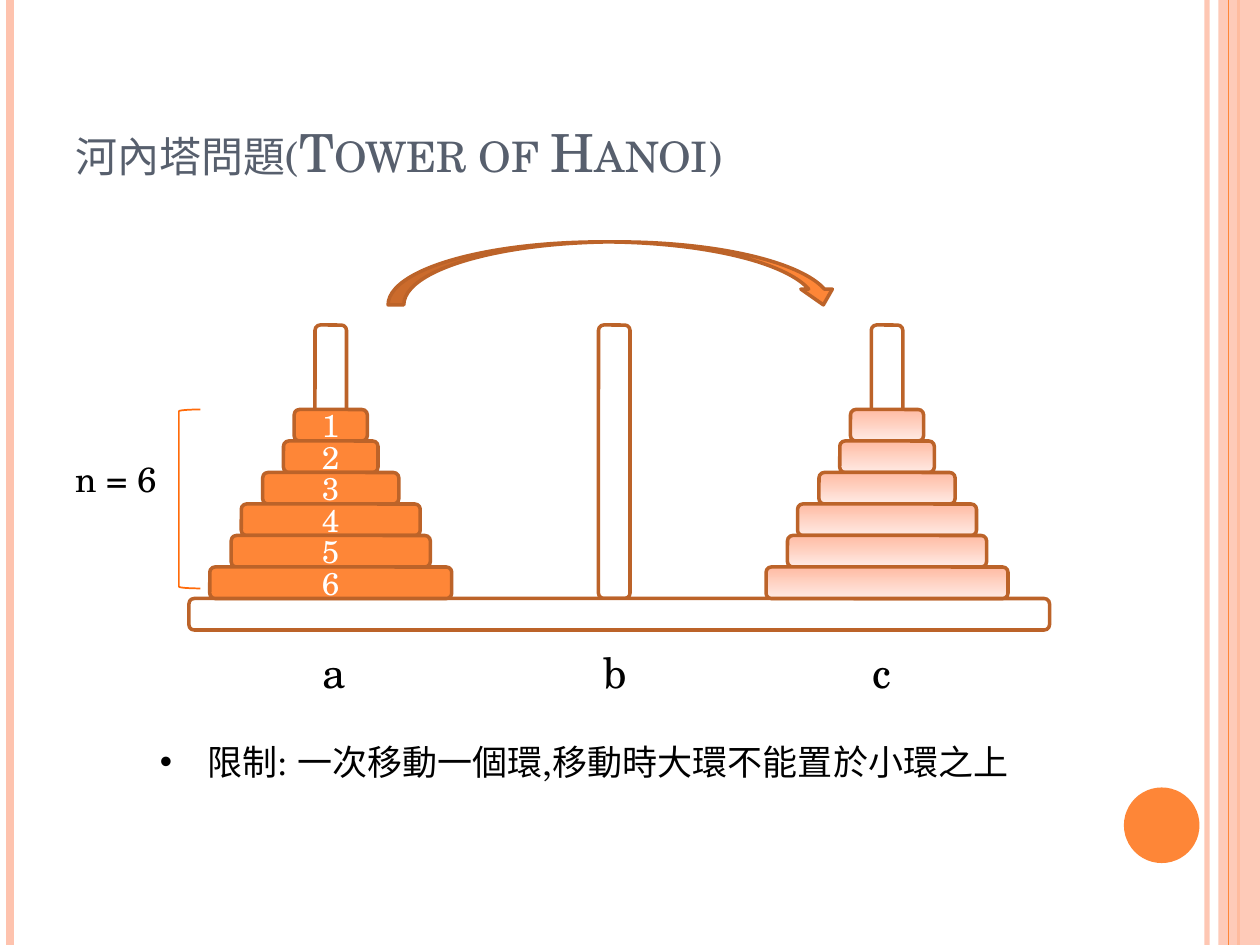
from lxml import etree
from pptx import Presentation
from pptx.dml.color import RGBColor
from pptx.enum import shapes, text
from pptx.oxml import ns
from pptx.util import Inches, Pt

ORANGE = RGBColor(0xFE, 0x86, 0x37)
BROWN = RGBColor(0xBC, 0x63, 0x29)
PINK = RGBColor(0xFE, 0xC3, 0xAE)
BRIGHT = RGBColor(0xFF, 0x6B, 0x0A)
SLATE = RGBColor(0x57, 0x5F, 0x6D)
WHITE = RGBColor(0xFF, 0xFF, 0xFF)
BLACK = RGBColor(0, 0, 0)
FADE = [RGBColor(0xFF, 0xBB, 0xA3), RGBColor(0xFF, 0xEA, 0xE4)]
FONT = "TeX Gyre Schola"
KIND = shapes.MSO_SHAPE

PEGS = {"a": 2.625, "b": 4.875, "c": 7.04}
RINGS = (0.58, 0.75, 1.08, 1.42, 1.58, 1.92)
UNIT = 0.25
TOP = 3.25


def set_alpha(node, share):
    color = node.find(".//" + ns.qn("a:srgbClr"))
    etree.SubElement(color, ns.qn("a:alpha")).set("val", str(share * 1000))


def add_rule(slide, x, color, width, alpha=None):
    rule = slide.shapes.add_connector(
        shapes.MSO_CONNECTOR.STRAIGHT, Inches(x), 0, Inches(x), Inches(7.5))
    rule.line.color.rgb = color
    rule.line.width = Pt(width)
    props = rule._element.spPr
    etree.SubElement(props, ns.qn("a:effectLst"))
    if alpha:
        set_alpha(props, alpha)


def add_form(slide, kind, box, fill=None, line=None, width=2):
    form = slide.shapes.add_shape(kind, *map(Inches, box))
    form.shadow.inherit = False
    if isinstance(fill, list):
        form.fill.gradient()
        form.fill.gradient_angle = 270
        for stop, color in zip(form.fill.gradient_stops, fill):
            stop.color.rgb = color
    elif fill is not None:
        form.fill.solid()
        form.fill.fore_color.rgb = fill
    else:
        form.fill.background()
    if line is not None:
        form.line.color.rgb = line
        form.line.width = Pt(width)
    else:
        form.line.fill.background()
    return form


def style(frame, size, color):
    para = frame.paragraphs[0]
    font = para.runs[0].font
    font.name = FONT
    font.size = Pt(size)
    font.color.rgb = color
    return para


def add_text(slide, words, box, size, color=BLACK):
    frame = slide.shapes.add_textbox(*map(Inches, box)).text_frame
    frame.word_wrap = True
    frame.text = words
    return frame, style(frame, size, color)


def add_frame(slide):
    add_rule(slide, 9.58, PINK, 3, 93)
    add_rule(slide, 0.08, PINK, 4.5)
    add_rule(slide, 9.83, ORANGE, 1.5)
    band = add_form(slide, KIND.RECTANGLE, (9.67, 0, 0.33, 7.5), PINK)
    set_alpha(band._element.spPr, 87)
    add_rule(slide, 9.75, ORANGE, 0.75)
    add_form(slide, KIND.OVAL, (8.92, 6.25, 0.6, 0.6), ORANGE)


def add_title(slide):
    frame, para = add_text(slide, "河內塔問題(Tower of Hanoi)",
                           (0.5, 0.3, 8.17, 1.2), 30, SLATE)
    frame.vertical_anchor = text.MSO_ANCHOR.BOTTOM
    para.runs[0]._r.get_or_add_rPr().set("cap", "small")


def add_tower(slide, mid, fill, marked):
    for step, wide in enumerate(RINGS):
        box = (mid - wide / 2, TOP + step * UNIT, wide, UNIT)
        ring = add_form(slide, KIND.ROUNDED_RECTANGLE, box, fill, BROWN)
        if marked:
            frame = ring.text_frame
            frame.text = str(step + 1)
            frame.vertical_anchor = text.MSO_ANCHOR.MIDDLE
            style(frame, 18, WHITE).alignment = text.PP_ALIGN.CENTER


def add_board(slide):
    for mid in PEGS.values():
        add_form(slide, KIND.ROUNDED_RECTANGLE,
                 (mid - UNIT / 2, 2.58, UNIT, 2.17), WHITE, BROWN)
    add_form(slide, KIND.ROUNDED_RECTANGLE, (1.5, 4.75, 6.83, UNIT),
             WHITE, BROWN)
    add_tower(slide, PEGS["a"], ORANGE, True)
    add_tower(slide, PEGS["c"], FADE, False)
    add_form(slide, KIND.LEFT_BRACKET, (1.42, TOP, 0.17, 1.42),
             line=BRIGHT, width=1)
    add_form(slide, KIND.CURVED_DOWN_ARROW, (3.08, 1.92, 3.58, 0.5),
             ORANGE, BROWN)


def add_labels(slide):
    add_text(slide, "n = 6", (0.5, 3.58, 0.92, 0.44), 20)
    for name, left in zip(PEGS, (2.46, 4.69, 6.83)):
        add_text(slide, name, (left, 5.08, 0.4, 0.5), 24)


def add_note(slide):
    para = add_text(slide, "限制: 一次移動一個環,移動時大環不能置於小環之上",
                    (1.17, 5.83, 7.08, 0.44), 20)[1]
    props = para._p.get_or_add_pPr()
    props.set("marL", str(Inches(0.38)))
    props.set("indent", str(Inches(-0.38)))
    etree.SubElement(props, ns.qn("a:buFont")).set("typeface", "Arial")
    etree.SubElement(props, ns.qn("a:buChar")).set("char", "•")


def main():
    deck = Presentation()
    deck.slide_width = Inches(10)
    deck.slide_height = Inches(7.5)
    slide = deck.slides.add_slide(deck.slide_layouts[6])
    add_frame(slide)
    add_title(slide)
    add_board(slide)
    add_labels(slide)
    add_note(slide)
    deck.save("out.pptx")


main()
